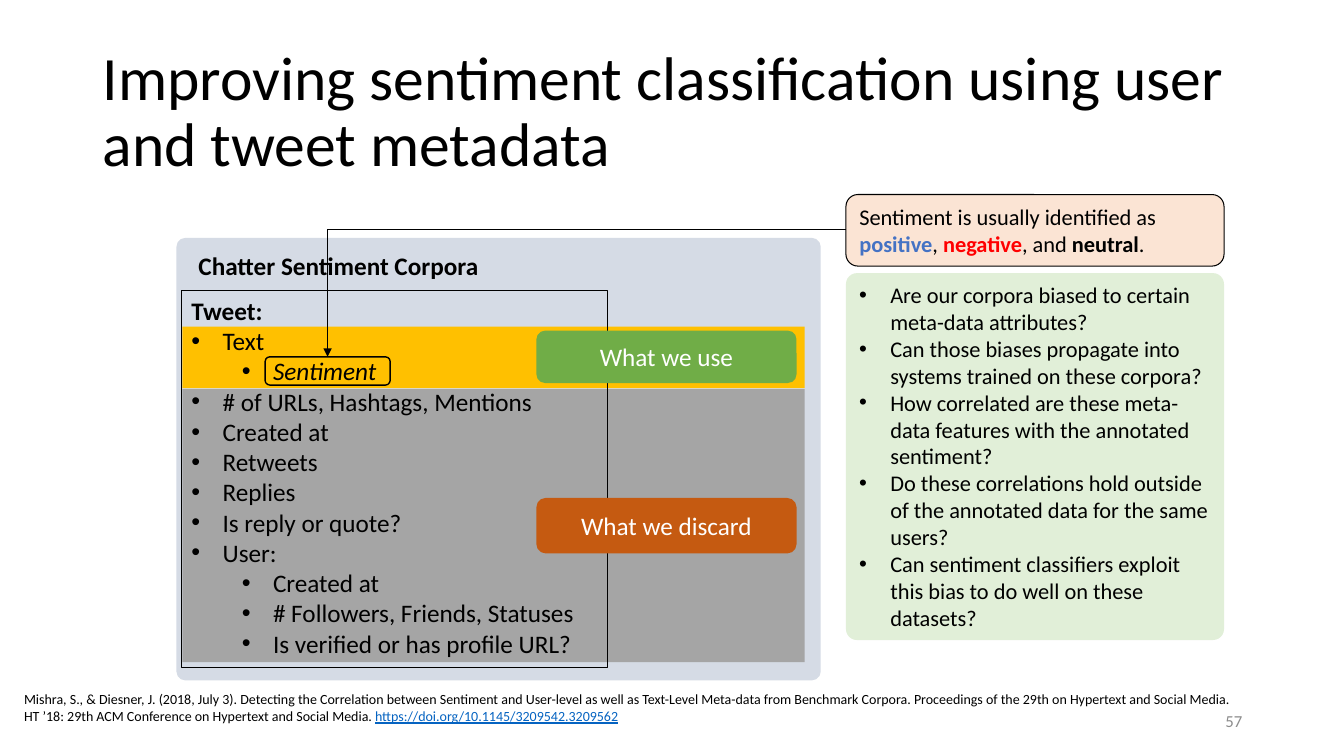
"""Build the slide on sentiment classification with user and tweet metadata."""
from dataclasses import dataclass

from lxml import etree
from pptx import Presentation
from pptx.dml.color import RGBColor
from pptx.enum.shapes import MSO_CONNECTOR, MSO_SHAPE
from pptx.enum.text import MSO_ANCHOR, PP_ALIGN
from pptx.oxml.ns import qn
from pptx.util import Pt

PX = 9144
RECT, ROUND = MSO_SHAPE.RECTANGLE, MSO_SHAPE.ROUNDED_RECTANGLE
TOP, MIDDLE = MSO_ANCHOR.TOP, MSO_ANCHOR.MIDDLE
LEFT, CENTER, RIGHT = PP_ALIGN.LEFT, PP_ALIGN.CENTER, PP_ALIGN.RIGHT
ELBOW = MSO_CONNECTOR.ELBOW


@dataclass(frozen=True)
class Theme:
    """Hold the colours and type sizes of the slide."""
    font: str = "Calibri"
    ink: str = "000000"
    white: str = "FFFFFF"
    muted: str = "8C8C8C"
    panel: str = "D5DBE5"
    grey: str = "A5A5A5"
    gold: str = "FFC000"
    green: str = "70AD47"
    rust: str = "C55A11"
    mint: str = "E1EFD8"
    peach: str = "FBE4D4"
    blue: str = "4472C4"
    red: str = "FF0000"
    link: str = "0563C1"
    title: int = 44
    body: int = 18
    note: int = 16
    page: int = 12
    cite: int = 10


T = Theme()

TWEET = [
    ("Text", 0), ("Sentiment", 1), ("# of URLs, Hashtags, Mentions", 0),
    ("Created at", 0), ("Retweets", 0), ("Replies", 0),
    ("Is reply or quote?", 0), ("User:", 0), ("Created at", 1),
    ("# Followers, Friends, Statuses", 1),
    ("Is verified or has profile URL?", 1),
]
ASKS = [
    "Are our corpora biased to certain meta-data attributes?",
    "Can those biases propagate into systems trained on these corpora?",
    "How correlated are these meta-data features with the annotated sentiment?",
    "Do these correlations hold outside of the annotated data for the same users?",
    "Can sentiment classifiers exploit this bias to do well on these datasets?",
]
CITE = (
    "Mishra, S., & Diesner, J. (2018, July 3). Detecting the Correlation between "
    "Sentiment and User-level as well as Text-Level Meta-data from Benchmark "
    "Corpora. Proceedings of the 29th on Hypertext and Social Media. HT ’18: 29th "
    "ACM Conference on Hypertext and Social Media. "
)


def assign(item, values):
    """Set each named value on an item."""
    for name, value in values.items():
        setattr(item, name, value)


def bullet(para, level):
    """Give a paragraph a hanging bullet."""
    para.level = level
    props = para._p.get_or_add_pPr()
    props.set("marL", str((31 + 50 * level) * PX))
    props.set("indent", str(-31 * PX))
    color = etree.SubElement(props, qn("a:buClr"))
    etree.SubElement(color, qn("a:srgbClr"), val=T.ink)
    etree.SubElement(props, qn("a:buFont"), typeface="Arial")
    etree.SubElement(props, qn("a:buChar"), char="•")


def write(shape, paras, size, color=T.ink, align=LEFT, anchor=TOP, pad=5, gap=1.0):
    """Fill a shape with (runs, bullet level) paragraphs."""
    frame = shape.text_frame
    assign(frame, dict(
        word_wrap=True, vertical_anchor=anchor, margin_left=10 * PX,
        margin_right=10 * PX, margin_top=pad * PX, margin_bottom=pad * PX))
    for index, (runs, level) in enumerate(paras):
        para = frame.add_paragraph() if index else frame.paragraphs[0]
        if level is not None:
            bullet(para, level)
        assign(para, dict(alignment=align, line_spacing=gap))
        for text, hue, style in runs:
            run = para.add_run()
            run.text = text
            assign(run.font, dict(name=T.font, size=Pt(size)) | style)
            run.font.color.rgb = RGBColor.from_string(hue or color)


def plain(text, level=None, **style):
    """Make a paragraph of one run."""
    return [(text, None, style)], level


def label(slide, box, paras, size, **look):
    """Add a text box."""
    shape = slide.shapes.add_textbox(*(n * PX for n in box))
    write(shape, paras, size, **look)


def block(slide, box, kind=RECT, fill=None, line=None, curve=None):
    """Add a flat shape with an optional fill, outline and corner."""
    shape = slide.shapes.add_shape(kind, *(n * PX for n in box))
    shape.shadow.inherit = False
    if curve is not None:
        shape.adjustments[0] = curve
    if fill:
        shape.fill.solid()
        shape.fill.fore_color.rgb = RGBColor.from_string(fill)
    else:
        shape.fill.background()
    if line:
        shape.line.width = Pt(line)
        shape.line.color.rgb = RGBColor.from_string(T.ink)
    else:
        shape.line.fill.background()
    return shape


def arrow(slide, start, end):
    """Add a one-bend arrow."""
    link = slide.shapes.add_connector(ELBOW, *(n * PX for n in start + end))
    link.line.width = Pt(0.75)
    link.line.color.rgb = RGBColor.from_string(T.ink)
    props = link._element.spPr
    props.find(qn("a:prstGeom")).set("prst", "bentConnector2")
    etree.SubElement(props.find(qn("a:ln")), qn("a:tailEnd"), type="triangle")
    etree.SubElement(props, qn("a:effectLst"))


def corpora(slide):
    """Draw the corpora panel with its used and discarded fields."""
    block(slide, (175, 236, 639, 439), ROUND, T.panel, curve=0.02)
    block(slide, (181, 386, 617, 271), fill=T.grey)
    block(slide, (181, 324, 617, 61), fill=T.gold)
    rows = [plain("Tweet:", bold=True)]
    rows += [plain(text, level, italic=text == "Sentiment") for text, level in TWEET]
    write(block(slide, (180, 288, 423, 374), line=0.75), rows, T.body)
    for text, top, high, fill in (("What we use", 328, 52, T.green),
                                  ("What we discard", 494, 55, T.rust)):
        tag = block(slide, (532, top, 258, high), ROUND, fill)
        write(tag, [plain(text)], T.body, T.white, CENTER, MIDDLE)
    label(slide, (187, 243, 384, 40),
          [plain("Chatter Sentiment Corpora", bold=True)], T.body)


def notes(slide):
    """Draw the questions and the sentiment callout."""
    asks = block(slide, (839, 271, 375, 364), ROUND, T.mint, curve=0.03)
    write(asks, [plain(text, 0) for text in ASKS], T.note)
    block(slide, (263, 354, 124, 28), ROUND, line=1)
    call = block(slide, (839, 193, 375, 71), ROUND, T.peach, 0.75)
    bold = dict(bold=True)
    runs = [
        ("Sentiment is usually identified as ", None, {}),
        ("positive", T.blue, bold), (", ", None, {}),
        ("negative", T.red, bold), (", and ", None, {}),
        ("neutral", None, bold), (".", None, {}),
    ]
    write(call, [(runs, None)], T.note)
    arrow(slide, (839, 228), (325, 354))


def main():
    """Build and save the slide."""
    deck = Presentation()
    assign(deck, dict(slide_width=1333 * PX, slide_height=750 * PX))
    slide = deck.slides.add_slide(deck.slide_layouts[6])
    label(slide, (92, 40, 1150, 145), [plain(
        "Improving sentiment classification using user and tweet metadata")],
        T.title, anchor=MIDDLE, gap=0.9)
    label(slide, (942, 695, 300, 40), [plain("57")], T.page,
          color=T.muted, align=RIGHT, anchor=MIDDLE)
    corpora(slide)
    notes(slide)
    source = [(CITE, None, {}),
              ("https://doi.org/10.1145/3209542.3209562", T.link, dict(underline=True))]
    label(slide, (14, 675, 1228, 54), [(source, None)], T.cite, pad=10)
    deck.save("out.pptx")


if __name__ == "__main__":
    main()
